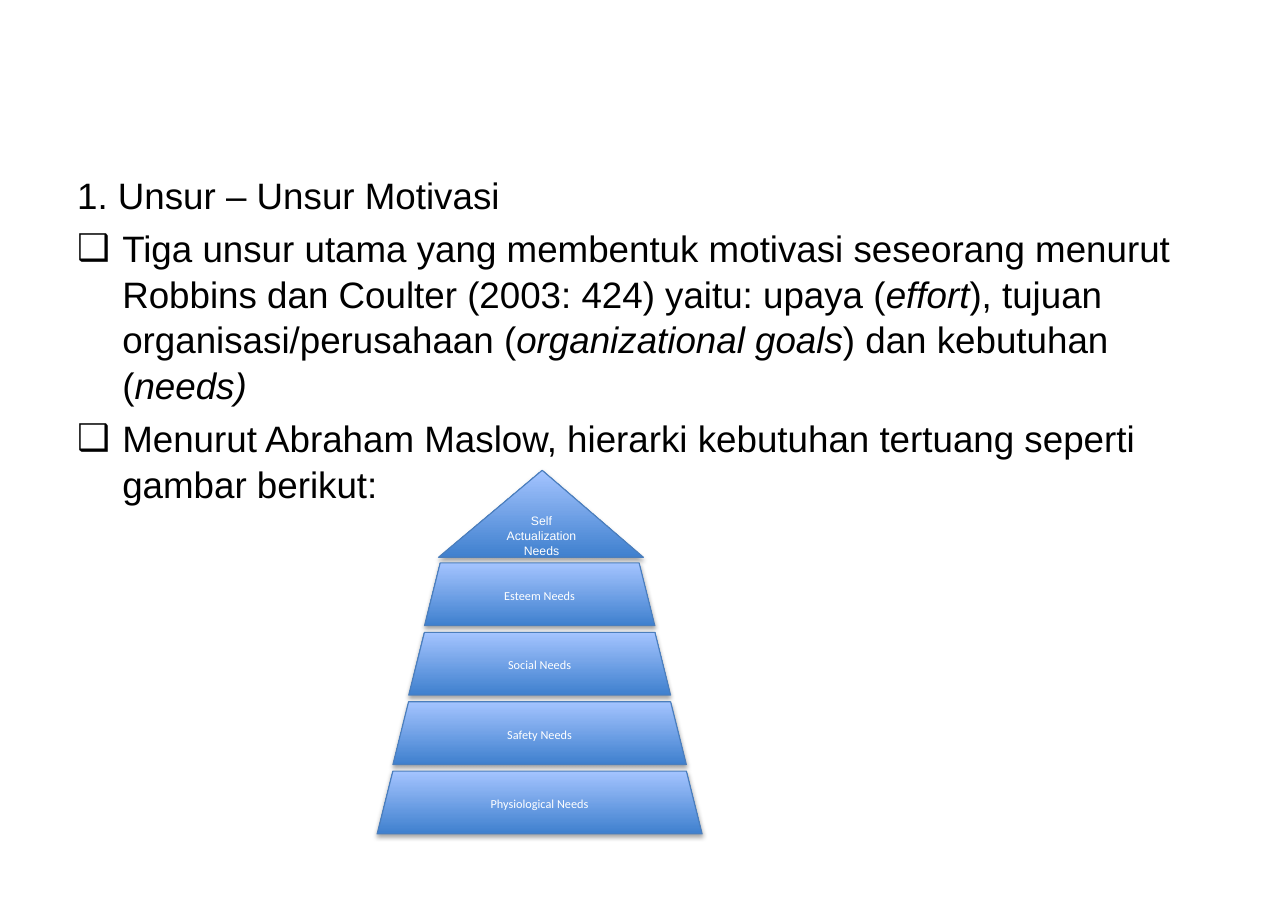
from pptx import Presentation
from pptx.dml.color import RGBColor
from pptx.enum.shapes import MSO_SHAPE
from pptx.enum.text import MSO_ANCHOR, PP_ALIGN
from pptx.oxml import parse_xml
from pptx.oxml.ns import nsdecls
from pptx.util import Inches, Pt

COLORS = {"ink": "000000", "label": "FFFFFF", "base": "3F80CE",
          "crest": "A4C4FF", "edge": "4B7EBC", "shadow": "000000"}

# Grid of 100 columns by 100 rows
WIDTH, HEIGHT = Inches(11.69), Inches(8.27)

HEADING = "1. Unsur – Unsur Motivasi"
# Every second piece of a point is in italics
POINTS = [
    ["Tiga unsur utama yang membentuk motivasi seseorang menurut Robbins dan "
     "Coulter (2003: 424) yaitu: upaya (", "effort",
     "), tujuan organisasi/perusahaan (", "organizational goals",
     ") dan kebutuhan (", "needs)"],
    ["Menurut Abraham Maslow, hierarki kebutuhan tertuang seperti gambar berikut:"],
]
TIERS = ["Esteem Needs", "Social Needs", "Safety Needs", "Physiological Needs"]


def color(name):
    return RGBColor.from_string(COLORS[name])


def place(left, top, width, height):
    """Turn grid columns and rows into lengths."""
    return (int(WIDTH * left / 100), int(HEIGHT * top / 100),
            int(WIDTH * width / 100), int(HEIGHT * height / 100))


def format_run(run, size, font, ink, italic=False):
    run.font.size = Pt(size)
    run.font.name = font
    run.font.italic = italic
    run.font.color.rgb = color(ink)


def set_bullet(paragraph, symbol=None):
    properties = paragraph._p.get_or_add_pPr()
    indent = Inches(0.41) if symbol else 0
    properties.set("marL", str(indent))
    properties.set("indent", str(-indent))
    mark = f'buChar {nsdecls("a")} char="{symbol}"' if symbol else f'buNone {nsdecls("a")}'
    properties.append(parse_xml(f"<a:{mark}/>"))


def add_paragraph(frame, pieces, symbol=None):
    paragraph = frame.add_paragraph() if frame.text else frame.paragraphs[0]
    paragraph.line_spacing = 1.04
    for index, piece in enumerate(pieces):
        run = paragraph.add_run()
        run.text = piece
        format_run(run, 24, "Arial", "ink", italic=index % 2 == 1)
    set_bullet(paragraph, symbol)


def fill_body(body):
    body.left, body.top, body.width, body.height = place(5.05, 18.14, 89.99, 66.02)
    frame = body.text_frame
    frame.margin_left = frame.margin_right = Inches(0.11)
    add_paragraph(frame, [HEADING])
    for point in POINTS:
        add_paragraph(frame, point, "❑")


def add_need(slide, kind, box, label, font):
    """Add one level of the pyramid."""
    need = slide.shapes.add_shape(kind, *box)
    need.fill.gradient()
    need.fill.gradient_angle = 90
    for stop, name in zip(need.fill.gradient_stops, ("base", "crest")):
        stop.color.rgb = color(name)
    need.line.color.rgb = color("edge")
    need.line.width = Pt(0.75)
    # Soft shadow below the level
    need._element.spPr.append(parse_xml(
        f'<a:effectLst {nsdecls("a")}><a:outerShdw blurRad="{Pt(3.1)}" '
        f'dist="{Pt(1.8)}" dir="5400000" rotWithShape="0">'
        f'<a:srgbClr val="{COLORS["shadow"]}"><a:alpha val="35000"/></a:srgbClr>'
        '</a:outerShdw></a:effectLst>'))
    frame = need.text_frame
    frame.text = label
    frame.word_wrap = True
    frame.vertical_anchor = MSO_ANCHOR.MIDDLE
    frame.paragraphs[0].alignment = PP_ALIGN.CENTER
    format_run(frame.paragraphs[0].runs[0], 8, font, "label")
    return need


def add_pyramid(slide):
    # Peak
    peak = add_need(slide, MSO_SHAPE.ISOSCELES_TRIANGLE,
                    place(34.05, 51.63, 15.91, 9.55),
                    "Self Actualization Needs", "Arial")
    peak.adjustments[0] = 0.506
    # Tiers widen by equal steps around one centre
    for level, label in enumerate(TIERS):
        width = 17.88 + 2.45 * level
        box = place(41.9 - width / 2, 61.79 + 7.62 * level, width, 6.89)
        add_need(slide, MSO_SHAPE.TRAPEZOID, box, label, "Calibri")


def main():
    deck = Presentation()
    deck.slide_width, deck.slide_height = WIDTH, HEIGHT
    slide = deck.slides.add_slide(deck.slide_layouts[1])
    # The slide has no title
    title = slide.shapes.title._element
    title.getparent().remove(title)
    fill_body(slide.placeholders[1])
    add_pyramid(slide)
    deck.save("out.pptx")


if __name__ == "__main__":
    main()
